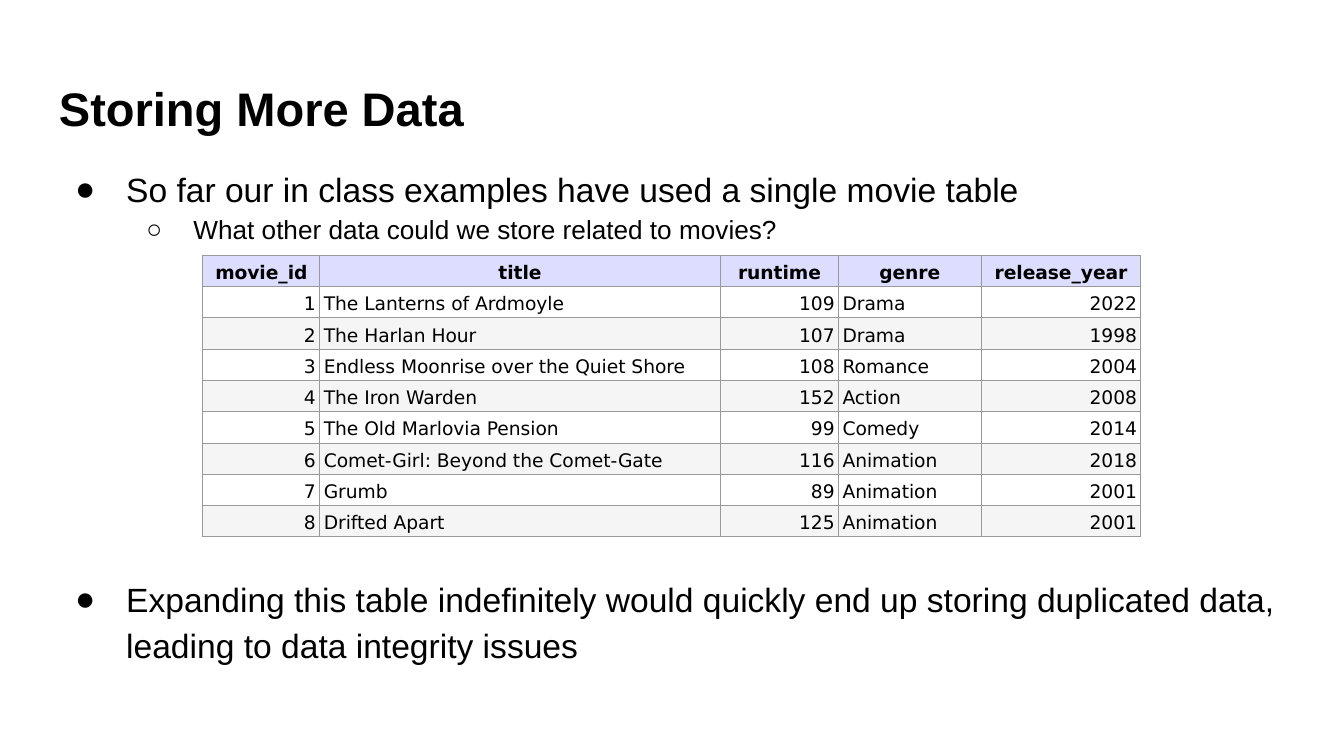
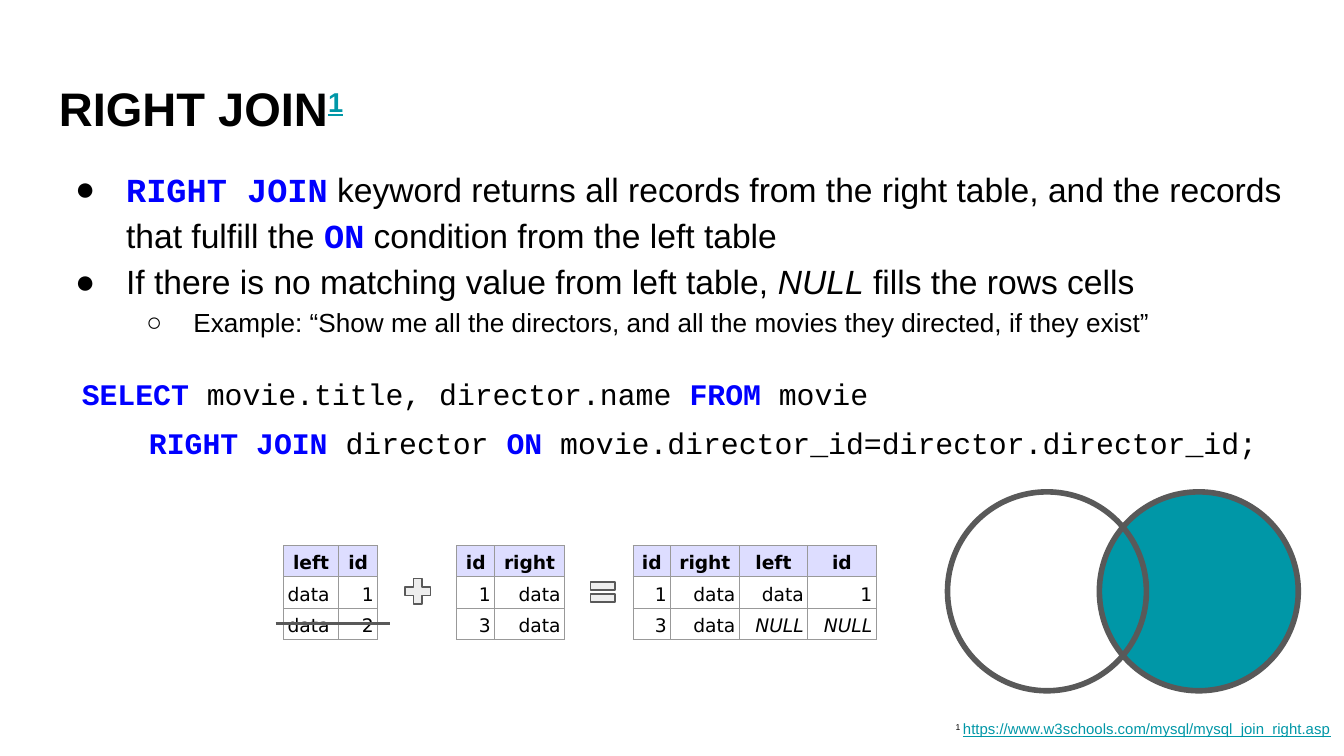
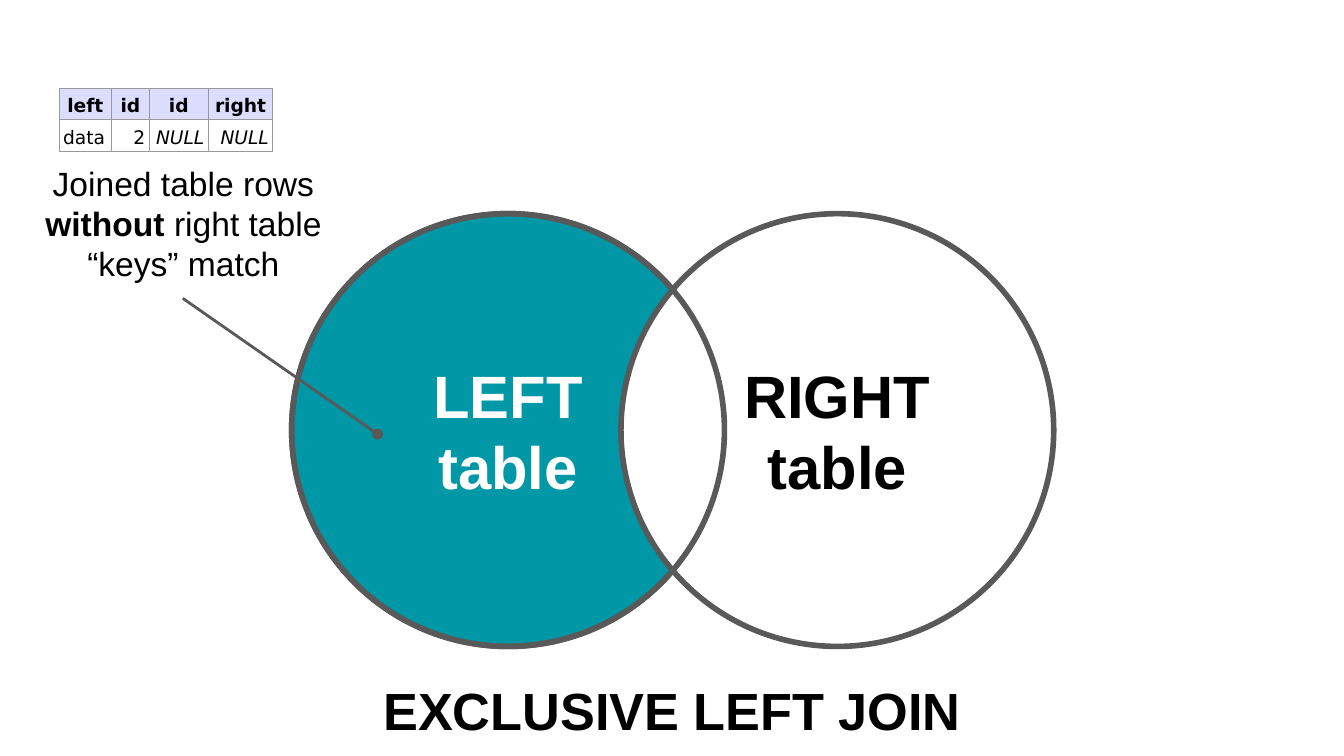
from pptx import Presentation
from pptx.dml.color import RGBColor
from pptx.enum.shapes import MSO_CONNECTOR, MSO_SHAPE
from pptx.enum.text import MSO_ANCHOR, PP_ALIGN
from pptx.oxml.ns import qn
from pptx.oxml.xmlchemy import OxmlElement
from pptx.util import Emu, Inches, Pt

LEFT, CENTER, RIGHT = PP_ALIGN.LEFT, PP_ALIGN.CENTER, PP_ALIGN.RIGHT
TOP, MIDDLE, BOTTOM = MSO_ANCHOR.TOP, MSO_ANCHOR.MIDDLE, MSO_ANCHOR.BOTTOM
OVAL, PLUS, EQUAL = MSO_SHAPE.OVAL, MSO_SHAPE.MATH_PLUS, MSO_SHAPE.MATH_EQUAL
STRAIGHT = MSO_CONNECTOR.STRAIGHT

COLORS = {
    "black": "000000", "white": "FFFFFF", "teal": "0097A7", "keyword": "0000FF",
    "outline": "595959", "symbol": "EEEEEE", "border": "999999",
    "header": "DDDDFF", "band": "F5F5F5",
}
RUN_STYLES = {
    "plain": {},
    "bold": {"bold": True},
    "italic": {"italic": True},
    "keyword": {"font": "Courier New", "color": "keyword", "bold": True},
    "link": {"color": "teal", "underline": True},
    "raised": {"raised": True},
    "raised link": {"color": "teal", "underline": True, "raised": True},
}
BULLETS = [("●", 18, 0.5, -0.38), ("○", 14, 1, -0.35)]
COLUMNS, ROWS = 100, 56.25
MARGIN, CONTENT_WIDTH = 3.4, 93.2
TABLE_ROW = 2.33
CELL_ALIGN = {"l": LEFT, "r": RIGHT}


class Deck:
    """Hold the shared style and the current slide, measured on a 100-column grid."""

    def __init__(self):
        self.presentation = Presentation()
        self.presentation.slide_width = Inches(10)
        self.presentation.slide_height = Inches(5.625)
        self.slide = None

    def new_slide(self):
        self.slide = self.presentation.slides.add_slide(self.presentation.slide_layouts[6])

    def across(self, columns):
        return Emu(round(self.presentation.slide_width * columns / COLUMNS))

    def down(self, rows):
        return Emu(round(self.presentation.slide_height * rows / ROWS))

    def place(self, left, top, width, height):
        return self.across(left), self.down(top), self.across(width), self.down(height)

    def color(self, name):
        return RGBColor.from_string(COLORS[name])

    def frame(self, text_frame, anchor=TOP):
        text_frame.word_wrap = True
        text_frame.vertical_anchor = anchor
        text_frame.margin_left = text_frame.margin_right = Inches(0.1)
        text_frame.margin_top = text_frame.margin_bottom = Inches(0.1)

    def paragraph(self, text_frame, index, runs, align=LEFT, spacing=None, **base):
        paragraph = text_frame.add_paragraph() if index else text_frame.paragraphs[0]
        paragraph.alignment = align
        if spacing:
            paragraph.line_spacing = spacing
        for text, style in [(runs, "plain")] if isinstance(runs, str) else runs:
            look = {"font": "Arial", "color": "black", **base, **RUN_STYLES[style]}
            run = paragraph.add_run()
            run.text = text
            run.font.name = look["font"]
            run.font.size = Pt(look["size"])
            run.font.color.rgb = self.color(look["color"])
            run.font.bold = look.get("bold", False)
            run.font.italic = look.get("italic", False)
            run.font.underline = look.get("underline", False)
            if look.get("raised"):
                run.font._element.set("baseline", "30000")
        return paragraph

    def indent(self, paragraph, margin, first):
        properties = paragraph._p.get_or_add_pPr()
        properties.set("marL", str(Inches(margin)))
        properties.set("indent", str(Inches(first)))
        return properties

    def text(self, box, paragraphs, **look):
        text_frame = self.slide.shapes.add_textbox(*self.place(*box)).text_frame
        self.frame(text_frame)
        return [self.paragraph(text_frame, index, runs, **look)
                for index, runs in enumerate(paragraphs)]

    def title(self, runs):
        self.text((MARGIN, 4.9, CONTENT_WIDTH, 6.3), [runs], size=25.2, bold=True)

    def bullets(self, top, height, items):
        box = self.place(MARGIN, top, CONTENT_WIDTH, height)
        text_frame = self.slide.shapes.add_textbox(*box).text_frame
        self.frame(text_frame)
        for index, (level, runs) in enumerate(items):
            symbol, size, margin, first = BULLETS[level]
            paragraph = self.paragraph(text_frame, index, runs, spacing=1.15, size=size)
            paragraph.level = level
            properties = self.indent(paragraph, margin, first)
            self.solid(OxmlElement("a:buClr"), properties, "black")
            for tag, name, value in (("a:buFont", "typeface", "Arial"),
                                     ("a:buChar", "char", symbol)):
                bullet = OxmlElement(tag)
                bullet.set(name, value)
                properties.append(bullet)

    def solid(self, holder, parent, color):
        value = OxmlElement("a:srgbClr")
        value.set("val", COLORS[color])
        holder.append(value)
        parent.append(holder)

    def shape(self, kind, box, fill=None, weight=3, adjustments=()):
        shape = self.slide.shapes.add_shape(kind, *self.place(*box))
        shape.shadow.inherit = False
        if fill:
            shape.fill.solid()
            shape.fill.fore_color.rgb = self.color(fill)
        else:
            shape.fill.background()
        shape.line.color.rgb = self.color("outline")
        shape.line.width = Pt(weight)
        for index, value in enumerate(adjustments):
            shape.adjustments[index] = value
        return shape

    def circle(self, left, top, diameter, fill=None, lines=(), color="black"):
        shape = self.shape(OVAL, (left, top, diameter, diameter), fill)
        self.frame(shape.text_frame, MIDDLE)
        for index, line in enumerate(lines):
            self.paragraph(shape.text_frame, index, line, CENTER,
                           size=32, color=color, bold=True)

    def line(self, start, end, head=None):
        connector = self.slide.shapes.add_connector(
            STRAIGHT, self.across(start[0]), self.down(start[1]),
            self.across(end[0]), self.down(end[1]))
        connector.line.color.rgb = self.color("outline")
        connector.line.width = Pt(1.5)
        properties = connector._element.spPr
        if head:
            marker = OxmlElement("a:headEnd")
            marker.set("type", head)
            properties.find(qn("a:ln")).append(marker)
        properties.append(OxmlElement("a:effectLst"))

    def borders(self, cell):
        properties = cell._tc.get_or_add_tcPr()
        for side in ("a:lnL", "a:lnR", "a:lnT", "a:lnB"):
            border = OxmlElement(side)
            border.set("w", str(Pt(0.6)))
            self.solid(OxmlElement("a:solidFill"), border, "border")
            properties.append(border)

    def cell(self, cell, value, align, fill, header):
        self.borders(cell)
        cell.fill.solid()
        cell.fill.fore_color.rgb = self.color(fill)
        cell.vertical_anchor = BOTTOM
        cell.margin_left = cell.margin_right = Inches(0.03)
        cell.margin_top = cell.margin_bottom = Inches(0.02)
        style = "italic" if value == "NULL" else "plain"
        self.paragraph(cell.text_frame, 0, [(value, style)], align, 1.15,
                       size=10, font="DejaVu Sans", bold=header)

    def table(self, left, top, widths, aligns, rows):
        box = self.place(left, top, sum(widths), TABLE_ROW * len(rows))
        table = self.slide.shapes.add_table(len(rows), len(widths), *box).table
        table.first_row = table.horz_banding = False
        for column, width in zip(table.columns, widths):
            column.width = self.across(width)
        for index, values in enumerate(rows):
            table.rows[index].height = self.down(TABLE_ROW)
            header = index == 0
            fill = "header" if header else ("band", "white")[index % 2]
            if len(rows) <= 3 and not header:
                fill = "white"
            for column, value in enumerate(values):
                align = CENTER if header else CELL_ALIGN[aligns[column]]
                self.cell(table.cell(index, column), value, align, fill, header)


def storing_more_data(deck):
    """Build the slide with the movie table."""
    deck.new_slide()
    deck.title("Storing More Data")
    deck.bullets(11.1, 7.9, [
        (0, "So far our in class examples have used a single movie table"),
        (1, "What other data could we store related to movies?"),
    ])
    movies = [
        ("The Lanterns of Ardmoyle", "109", "Drama", "2022"),
        ("The Harlan Hour", "107", "Drama", "1998"),
        ("Endless Moonrise over the Quiet Shore", "108", "Romance", "2004"),
        ("The Iron Warden", "152", "Action", "2008"),
        ("The Old Marlovia Pension", "99", "Comedy", "2014"),
        ("Comet-Girl: Beyond the Comet-Gate", "116", "Animation", "2018"),
        ("Grumb", "89", "Animation", "2001"),
        ("Drifted Apart", "125", "Animation", "2001"),
    ]
    rows = [("movie_id", "title", "runtime", "genre", "release_year")]
    rows += [(str(number), *movie) for number, movie in enumerate(movies, 1)]
    deck.table(15.1, 19, [8.7, 29.8, 8.8, 10.6, 11.9], "rlrlr", rows)
    deck.bullets(41.6, 8.5, [
        (0, "Expanding this table indefinitely would quickly end up storing "
            "duplicated data, leading to data integrity issues"),
    ])


def right_join(deck):
    """Build the slide that explains RIGHT JOIN."""
    deck.new_slide()
    deck.title([("RIGHT JOIN", "plain"), ("1", "raised link")])
    deck.bullets(11.1, 14.8, [
        (0, [("RIGHT JOIN", "keyword"),
             (" keyword returns all records from the right table, and the records "
              "that fulfill the ", "plain"),
             ("ON", "keyword"), (" condition from the left table", "plain")]),
        (0, [("If there is no matching value from left table, ", "plain"),
             ("NULL", "italic"), (" fills the rows cells", "plain")]),
        (1, "Example: “Show me all the directors, and all the movies they directed, "
            "if they exist”"),
    ])
    query = deck.text((5.1, 26, CONTENT_WIDTH, 8.4), [
        [("SELECT", "keyword"), (" movie.title, director.name ", "plain"),
         ("FROM", "keyword"), (" movie", "plain")],
        [("RIGHT JOIN ", "keyword"), ("director ", "plain"), ("ON", "keyword"),
         (" movie.director_id=director.director_id;", "plain")],
    ], size=16, font="Courier New", spacing=1.36)
    deck.indent(query[1], 0, 0.5)
    deck.text((26.5, 52.9, 73.5, 3.4), [
        [("1 ", "raised"),
         ("https://www.w3schools.com/mysql/mysql_join_right.asp", "link")],
    ], size=8, align=RIGHT)
    deck.circle(81.8, 36.6, 14.8, "teal")
    deck.circle(70.5, 36.6, 14.8)
    deck.shape(PLUS, (29.8, 42.7, 2.6, 2.6), "symbol", 0.75, [0.235])
    deck.shape(EQUAL, (43.6, 42.8, 2.5, 2.5), "symbol", 0.75, [0.235, 0.118])
    tables_top = 40.6
    deck.table(47.1, tables_top, [2.8, 5.1, 5.1, 5.1], "rrrr", [
        ("id", "right", "left", "id"),
        ("1", "data", "data", "1"),
        ("3", "data", "NULL", "NULL"),
    ])
    deck.table(34, tables_top, [2.8, 5.2], "rr",
               [("id", "right"), ("1", "data"), ("3", "data")])
    deck.table(21.1, tables_top, [4.1, 2.9], "lr",
               [("left", "id"), ("data", "1"), ("data", "2")])
    deck.line((20.5, 46.4), (29, 46.4))


def exclusive_left_join(deck):
    """Build the slide with the exclusive left join diagram."""
    deck.new_slide()
    left, right, top, diameter = 21.7, 46.2, 15.9, 32.2
    deck.circle(left, top, diameter, "teal", ["LEFT", "table"], "white")
    deck.text((19.8, 49.5, 60.4, 6.7), ["EXCLUSIVE LEFT JOIN"],
              size=28, bold=True, align=CENTER)
    deck.circle(right, top, diameter, "white", ["RIGHT", "table"])
    deck.circle(left, top, diameter)
    deck.line((28.1, 32.3), (13.6, 22.2), head="oval")
    deck.text((0, 11.1, 27.3, 11.1), [
        [("Joined table rows ", "plain"), ("without ", "bold"),
         ("right table “keys” match", "plain")],
    ], size=18, align=CENTER)
    deck.table(4.4, 6.6, [3.9, 2.8, 4.4, 4.8], "lrrr",
               [("left", "id", "id", "right"), ("data", "2", "NULL", "NULL")])


def main():
    """Build every slide and save the presentation."""
    deck = Deck()
    storing_more_data(deck)
    right_join(deck)
    exclusive_left_join(deck)
    deck.presentation.save("out.pptx")


if __name__ == "__main__":
    main()
